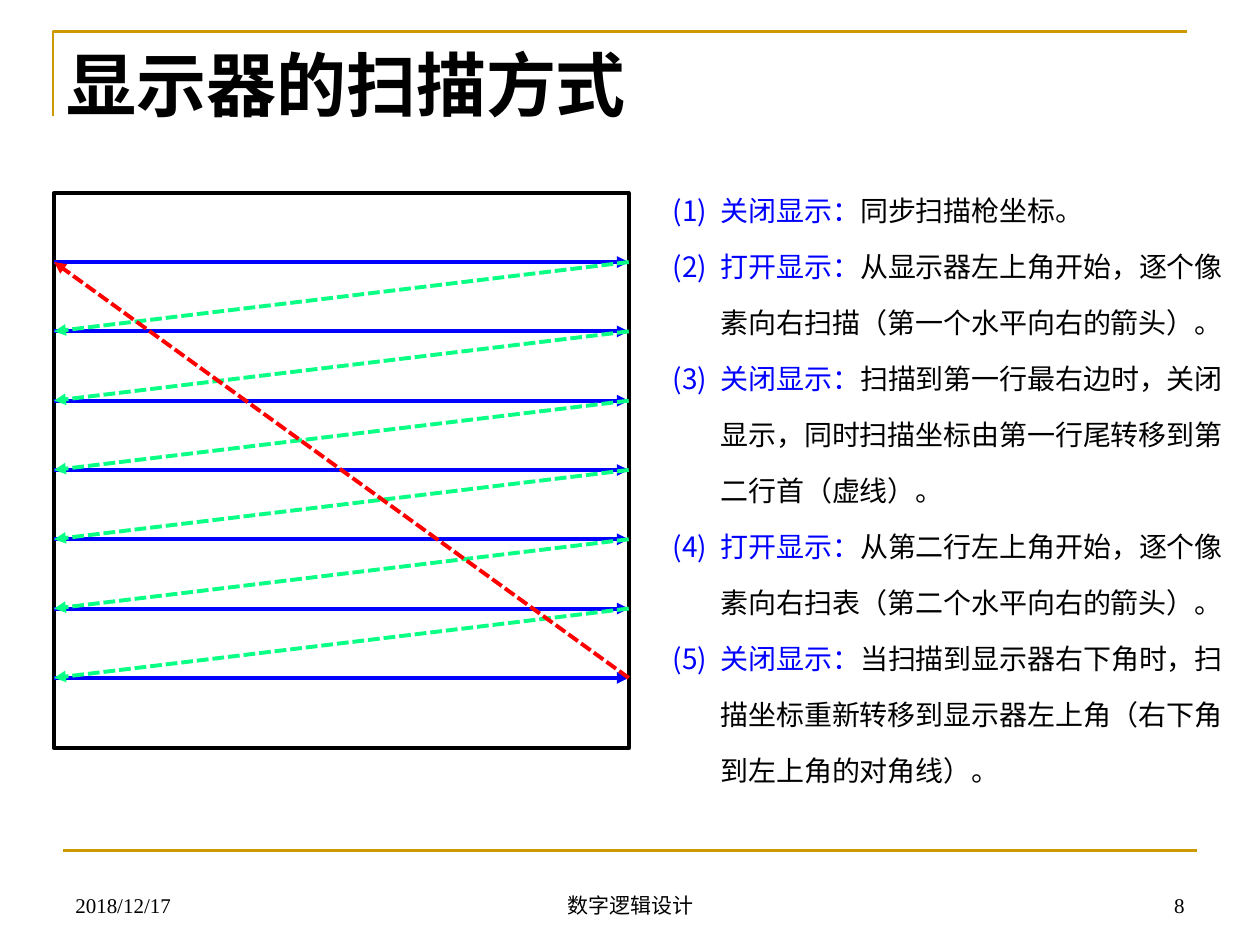
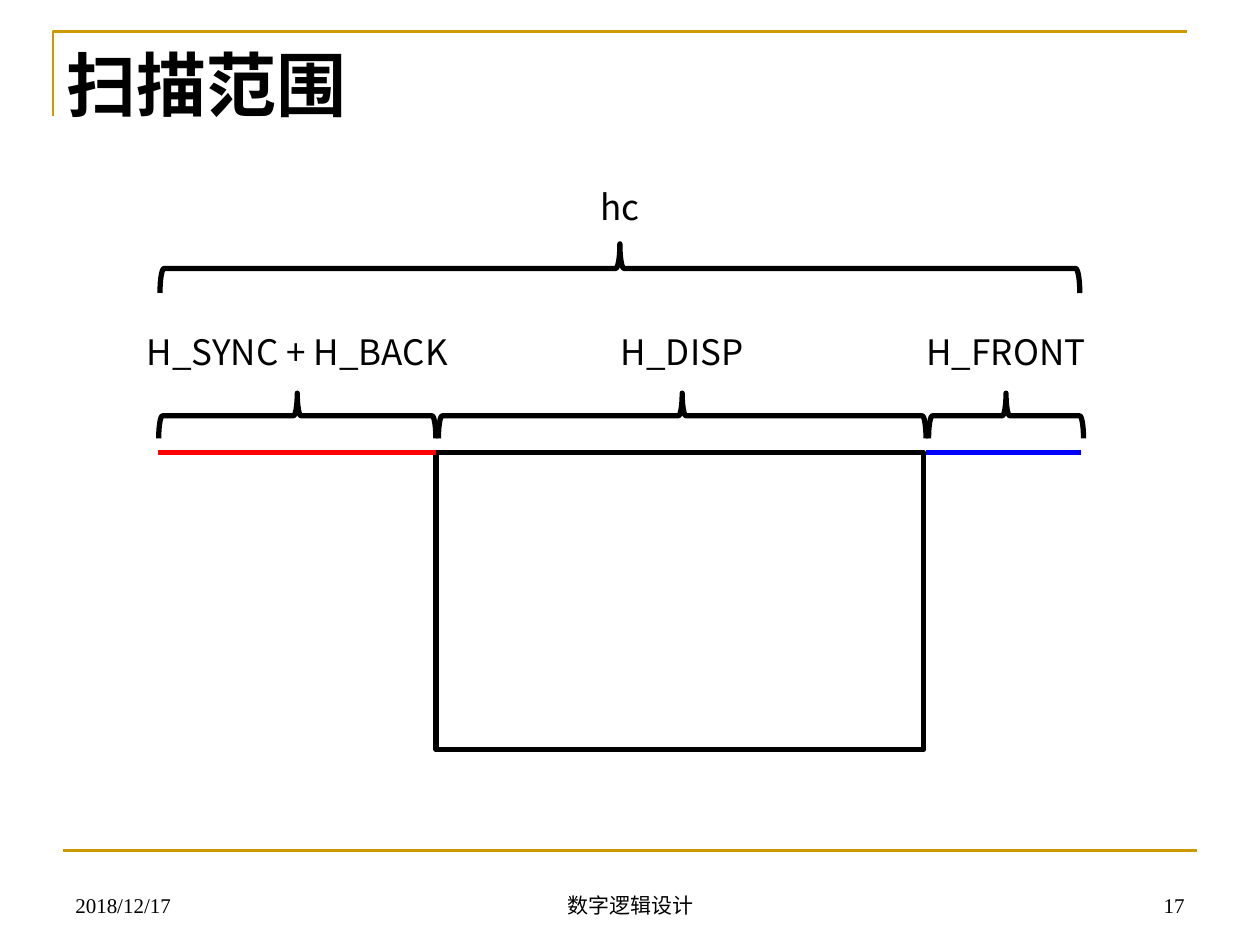
from dataclasses import dataclass
from itertools import pairwise

from lxml import etree
from pptx import Presentation
from pptx import util as u
from pptx.dml.color import RGBColor
from pptx.enum import dml, shapes, text
from pptx.oxml import ns


@dataclass(frozen=True)
class Theme:
    gold: str = "CC9900"
    black: str = "000000"
    blue: str = "0000FF"
    green: str = "0AFF85"
    red: str = "FF0000"
    sans: str = "Noto Sans CJK SC"
    serif: str = "Times New Roman"
    title_size: int = 40
    label_size: int = 20
    body_size: int = 16
    footer_size: int = 12
    body_leading: int = 32
    frame_width: float = 1.5
    scan_width: float = 2.25
    range_width: float = 3


@dataclass(frozen=True)
class Box:
    left: float
    top: float
    width: float
    height: float

    @property
    def right(self) -> float:
        return self.left + self.width

    @property
    def lengths(self) -> tuple:
        return tuple(u.Inches(n) for n in (self.left, self.top, self.width, self.height))


@dataclass(frozen=True)
class Step:
    action: str
    detail: str


@dataclass(frozen=True)
class Span:
    label: str
    left: float
    right: float
    middle: float = 3.3
    depth: float = 0.36
    label_top: float = 2.57


THEME = Theme()
LEFT, CENTER, RIGHT = text.PP_ALIGN.LEFT, text.PP_ALIGN.CENTER, text.PP_ALIGN.RIGHT
TOP, BOTTOM = text.MSO_ANCHOR.TOP, text.MSO_ANCHOR.BOTTOM

STEPS = [
    Step("关闭显示：", "同步扫描枪坐标。"),
    Step("打开显示：", "从显示器左上角开始，逐个像素向右扫描（第一个水平向右的箭头）。"),
    Step("关闭显示：", "扫描到第一行最右边时，关闭显示，同时扫描坐标由第一行尾转移到第二行首（虚线）。"),
    Step("打开显示：", "从第二行左上角开始，逐个像素向右扫表（第二个水平向右的箭头）。"),
    Step("关闭显示：", "当扫描到显示器右下角时，扫描坐标重新转移到显示器左上角（右下角到左上角的对角线）。"),
]
SPANS = [
    Span("H_SYNC + H_BACK", 1.26, 3.46),
    Span("H_DISP", 3.48, 7.35),
    Span("H_FRONT", 7.37, 8.6),
    Span("hc", 1.27, 8.57, middle=2.13, depth=0.39, label_top=1.42),
]


def add_text(slide, box: Box, paragraphs: list, *, size: float, font: str = THEME.sans,
             bold: bool = False, align=LEFT, anchor=TOP, leading: float | None = None,
             number_indent: float = 0) -> None:
    shape = slide.shapes.add_textbox(*box.lengths)
    frame = shape.text_frame
    frame.word_wrap = True
    frame.vertical_anchor = anchor
    for index, runs in enumerate(paragraphs):
        paragraph = frame.add_paragraph() if index else frame.paragraphs[0]
        paragraph.alignment = align
        if leading:
            paragraph.line_spacing = u.Pt(leading)
        if number_indent:
            properties = paragraph._p.get_or_add_pPr()
            properties.set("marL", str(u.Inches(number_indent)))
            properties.set("indent", str(-u.Inches(number_indent)))
            etree.SubElement(properties, ns.qn("a:buAutoNum"), type="arabicParenBoth")
        for words, color in runs:
            run = paragraph.add_run()
            run.text = words
            run.font.size = u.Pt(size)
            run.font.bold = bold
            run.font.color.rgb = RGBColor.from_string(color)
            run.font.name = font
            etree.SubElement(run._r.get_or_add_rPr(), ns.qn("a:ea"), typeface=THEME.sans)


def style_line(shape, color: str, width: float) -> None:
    shape.line.color.rgb = RGBColor.from_string(color)
    shape.line.width = u.Pt(width)


def add_line(slide, start: tuple[float, float], end: tuple[float, float], color: str,
             width: float, *, dashed: bool = False, arrow: bool = False) -> None:
    points = [u.Inches(n) for n in (*start, *end)]
    line = slide.shapes.add_connector(shapes.MSO_CONNECTOR.STRAIGHT, *points)
    style_line(line, color, width)
    if dashed:
        line.line.dash_style = dml.MSO_LINE.SQUARE_DOT
    if arrow:
        etree.SubElement(line.line._get_or_add_ln(), ns.qn("a:tailEnd"), type="triangle")
    etree.SubElement(line._element.spPr, ns.qn("a:effectLst"))


def add_outline(slide, kind, box: Box, width: float, rotation: float = 0) -> None:
    shape = slide.shapes.add_shape(kind, *box.lengths)
    shape.shadow.inherit = False
    shape.fill.background()
    shape.rotation = rotation
    style_line(shape, THEME.black, width)


def add_span(slide, span: Span) -> None:
    center = (span.left + span.right) / 2
    length = span.right - span.left
    brace = Box(center - span.depth / 2, span.middle - length / 2, span.depth, length)
    add_outline(slide, shapes.MSO_SHAPE.RIGHT_BRACE, brace, THEME.range_width, rotation=270)
    label_width = 3.23
    add_text(slide, Box(center - label_width / 2, span.label_top, label_width, 0.44),
             [[(span.label, THEME.black)]], size=THEME.label_size, align=CENTER)


def add_base(presentation, title: str, number: int):
    slide = presentation.slides.add_slide(presentation.slide_layouts[6])
    builder = slide.shapes.build_freeform(u.Inches(0.42), u.Inches(0.92))
    corner = [(u.Inches(0.42), u.Inches(0.25)), (u.Inches(9.42), u.Inches(0.25))]
    builder.add_line_segments(corner, close=False)
    bracket = builder.convert_to_shape()
    bracket.shadow.inherit = False
    bracket.fill.background()
    style_line(bracket, THEME.gold, THEME.frame_width)
    add_line(slide, (0.5, 6.75), (9.5, 6.75), THEME.gold, THEME.frame_width)
    footers = [
        ("2018/12/17", 0.5, 2.33, LEFT),
        ("数字逻辑设计", 3.42, 3.17, CENTER),
        (str(number), 7.17, 2.33, RIGHT),
    ]
    for words, left, width, align in footers:
        add_text(slide, Box(left, 6.83, width, 0.5), [[(words, THEME.black)]],
                 size=THEME.footer_size, font=THEME.serif, align=align, anchor=BOTTOM)
    add_text(slide, Box(0.43, 0.28, 8.74, 0.77), [[(title, THEME.black)]],
             size=THEME.title_size, bold=True)
    return slide


def add_scan_slide(presentation) -> None:
    slide = add_base(presentation, "显示器的扫描方式", 8)
    screen = Box(0.43, 1.53, 4.56, 4.41)
    add_outline(slide, shapes.MSO_SHAPE.RECTANGLE, screen, THEME.scan_width)
    rows = [screen.top + 0.55 * step for step in range(1, 8)]
    for row in rows:
        add_line(slide, (screen.left, row), (screen.right, row), THEME.blue,
                 THEME.scan_width, arrow=True)
    returns = [(*pair, THEME.green) for pair in pairwise(rows)]
    returns.append((rows[-1], rows[0], THEME.red))
    for start, end, color in returns:
        add_line(slide, (screen.right, start), (screen.left, end), color,
                 THEME.scan_width, dashed=True, arrow=True)
    paragraphs = [[(step.action, THEME.blue), (step.detail, THEME.black)] for step in STEPS]
    add_text(slide, Box(5.24, 1.31, 4.76, 5.04), paragraphs, size=THEME.body_size,
             leading=THEME.body_leading, number_indent=0.38)


def add_range_slide(presentation) -> None:
    slide = add_base(presentation, "扫描范围", 17)
    display = Box(3.46, 3.59, 3.87, 2.36)
    add_outline(slide, shapes.MSO_SHAPE.RECTANGLE, display, THEME.range_width)
    for left, right, color in [(1.25, display.left, THEME.red), (7.35, 8.58, THEME.blue)]:
        add_line(slide, (left, display.top), (right, display.top), color, THEME.range_width)
    for span in SPANS:
        add_span(slide, span)


def main() -> None:
    presentation = Presentation()
    presentation.slide_width = u.Inches(10)
    presentation.slide_height = u.Inches(7.5)
    add_scan_slide(presentation)
    add_range_slide(presentation)
    presentation.save("out.pptx")


main()
